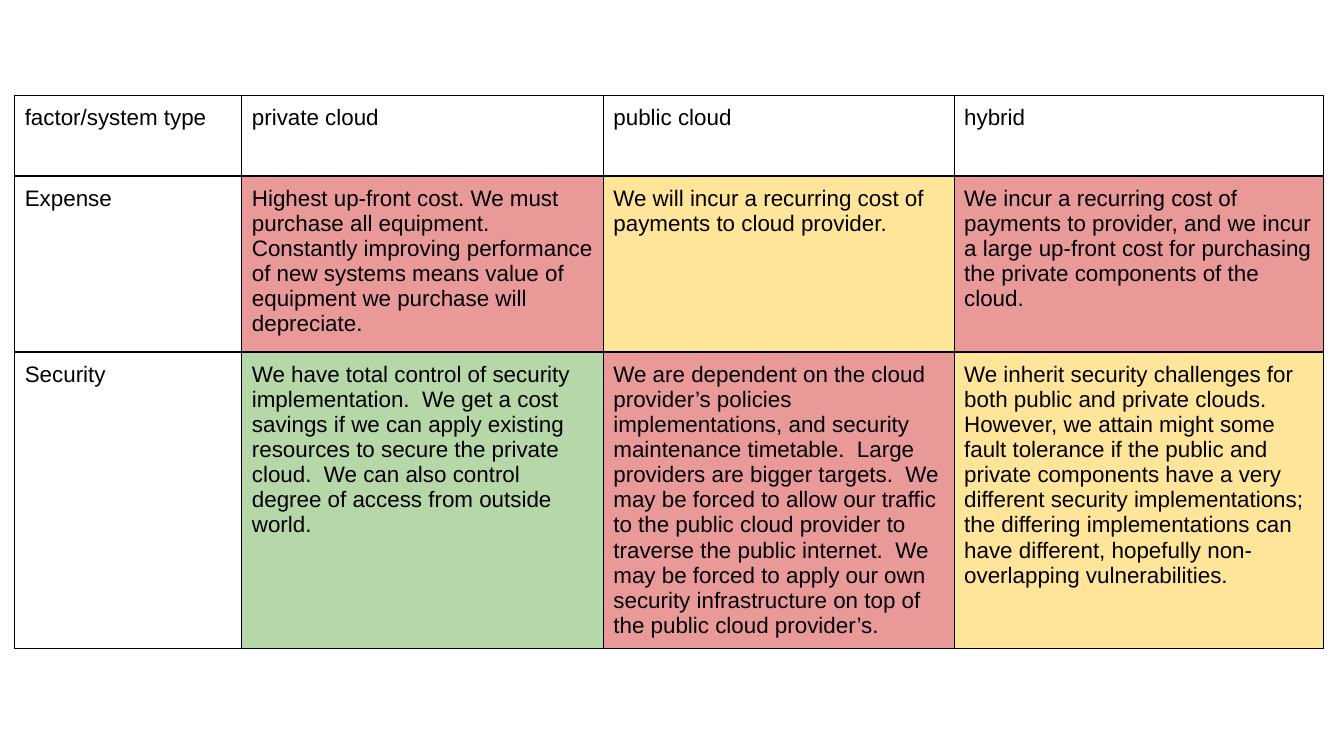
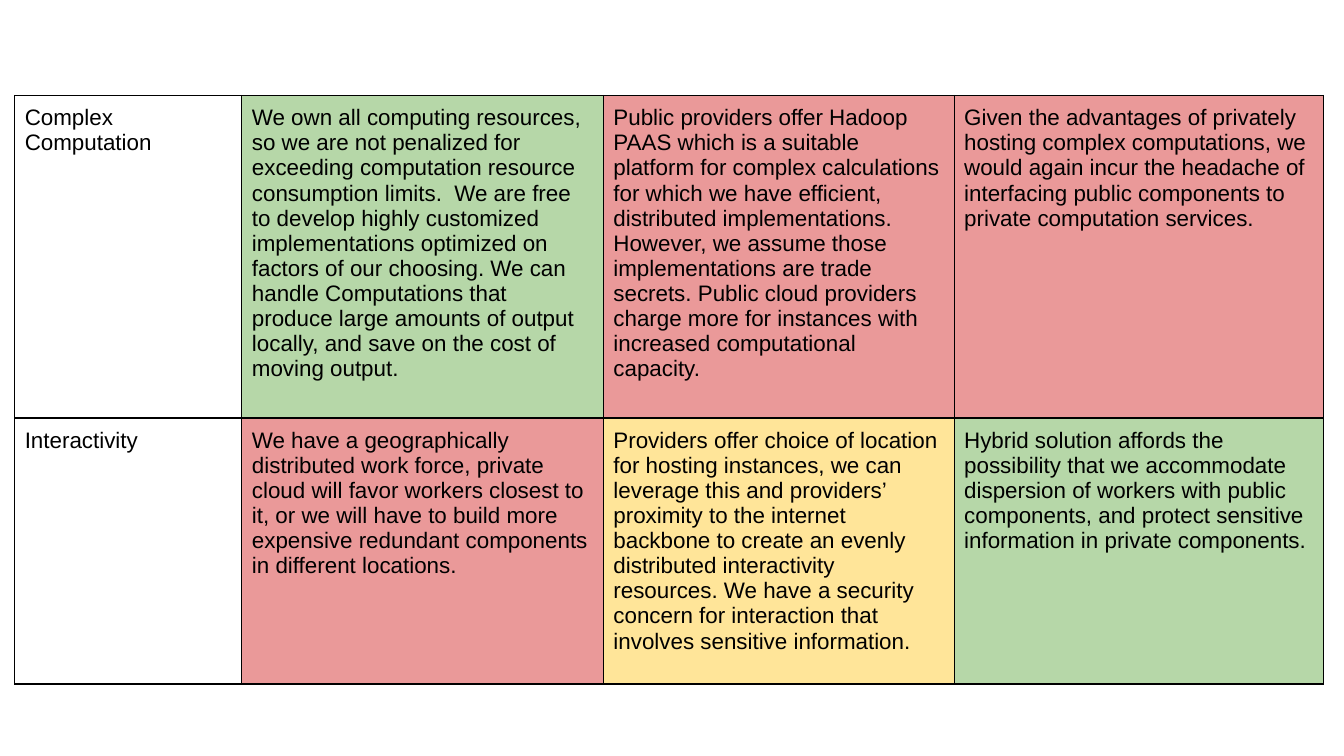
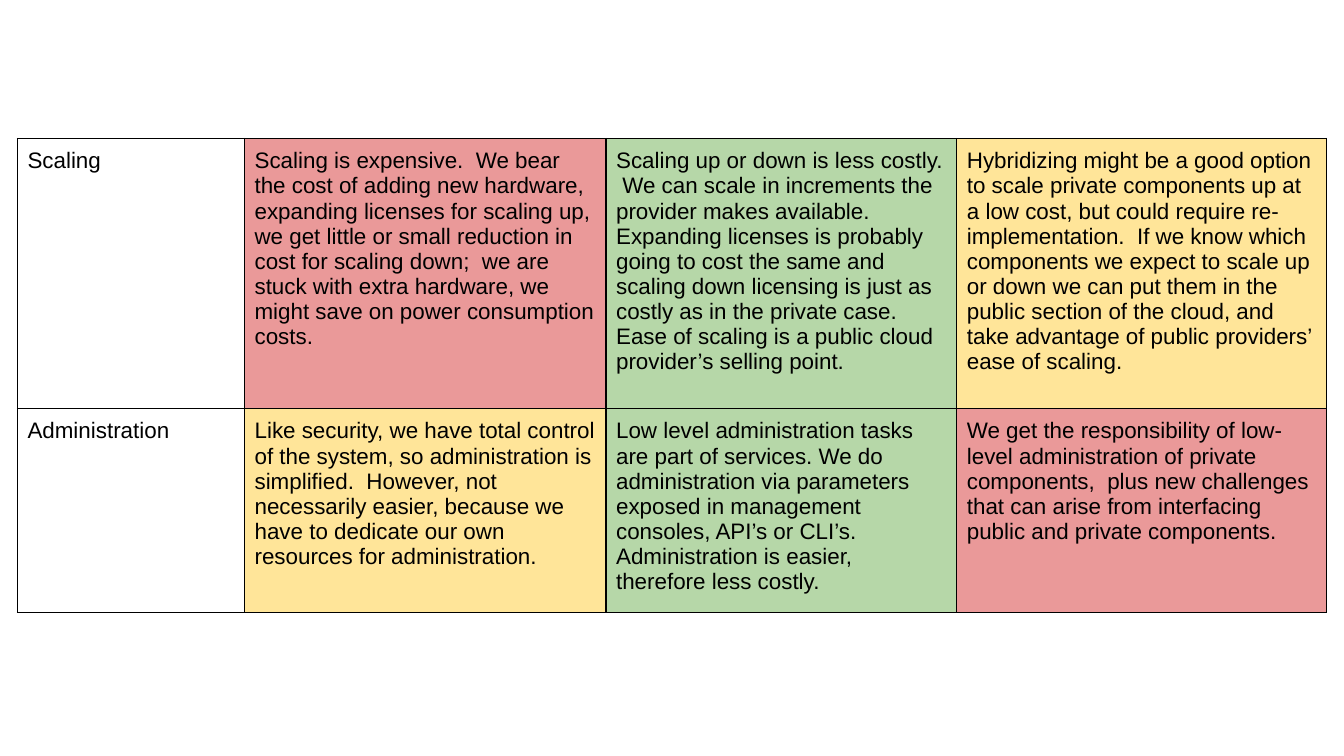
from lxml import etree
from pptx import Presentation
from pptx.dml.color import RGBColor
from pptx.oxml.ns import qn
from pptx.util import Inches, Pt

COLORS = {
    "text": "000000",
    "border": "000000",
    "bad": "EA9999",
    "fair": "FFE599",
    "good": "B6D7A8",
}
FONT = "Arial"
FONT_SIZE = 12
BORDER_WIDTH = 0.75
CELL_MARGIN = Inches(0.15) // 2
SLIDE_WIDTH = Inches(10)
SLIDE_HEIGHT = SLIDE_WIDTH * 9 // 16
COLUMN_WIDTHS = [1.69, 2.69, 2.61, 2.75]
BORDER_SIDES = ["a:lnL", "a:lnR", "a:lnT", "a:lnB"]
BLANK_LAYOUT = 6

# Each row: height, factor, then (rating, text) for private, public and hybrid.
SLIDES = [
    {
        "position": (0.11, 0.71),
        "rows": [
            (0.6, "factor/system type",
             (None, "private cloud"), (None, "public cloud"), (None, "hybrid")),
            (1.31, "Expense",
             ("bad", "Highest up-front cost. We must purchase all equipment.  "
              "Constantly improving performance of new systems means value of "
              "equipment we purchase will depreciate."),
             ("fair", "We will incur a recurring cost of payments to cloud "
              "provider.  "),
             ("bad", "We incur a recurring cost of payments to provider, and we incur "
              "a large up-front cost for purchasing the private components of the "
              "cloud.")),
            (1.84, "Security",
             ("good", "We have total control of security implementation.  We get a "
              "cost savings if we can apply existing resources to secure the private "
              "cloud.  We can also control degree of access from outside world."),
             ("bad", "We are dependent on the cloud provider’s policies "
              "implementations, and security maintenance timetable.  Large providers "
              "are bigger targets.  We may be forced to allow our traffic to the "
              "public cloud provider to traverse the public internet.  We may be "
              "forced to apply our own security infrastructure on top of the public "
              "cloud provider’s."),
             ("fair", "We inherit security challenges for both public and private "
              "clouds.  However, we attain might some fault tolerance if the public "
              "and private components have a very different security "
              "implementations; the differing implementations can have different, "
              "hopefully non-overlapping vulnerabilities.")),
        ],
    },
    {
        "position": (0.11, 0.71),
        "rows": [
            (2.4, "Complex Computation",
             ("good", "We own all computing resources, so we are not penalized for "
              "exceeding computation resource consumption limits.  We are free to "
              "develop highly customized implementations optimized on factors of our "
              "choosing. We can handle Computations that produce large amounts of "
              "output locally, and save on the cost of moving output."),
             ("bad", "Public providers offer Hadoop PAAS which is a suitable platform "
              "for complex calculations for which we have efficient, distributed "
              "implementations.  However, we assume those implementations are trade "
              "secrets. Public cloud providers charge more for instances with "
              "increased computational capacity."),
             ("bad", "Given the advantages of privately hosting complex computations, "
              "we would again incur the headache of interfacing public components to "
              "private computation services.  ")),
            (1.98, "Interactivity",
             ("bad", "We have a geographically distributed work force, private cloud "
              "will favor workers closest to it, or we will have to build more "
              "expensive redundant components in different locations."),
             ("fair", "Providers offer choice of location for hosting instances, we "
              "can leverage this and providers’ proximity to the internet backbone to "
              "create an evenly distributed interactivity resources. We have a "
              "security concern for interaction that involves sensitive "
              "information."),
             ("good", "Hybrid solution affords the possibility that we accommodate "
              "dispersion of workers with public components, and protect sensitive "
              "information in private components.")),
        ],
    },
    {
        "position": (0.13, 1.03),
        "rows": [
            (2.01, "Scaling",
             ("bad", "Scaling is expensive.  We bear the cost of adding new hardware, "
              "expanding licenses for scaling up, we get little or small reduction in "
              "cost for scaling down;  we are stuck with extra hardware, we might "
              "save on power consumption costs."),
             ("good", "Scaling up or down is less costly.  We can scale in increments "
              "the provider makes available. Expanding licenses is probably going to "
              "cost the same and scaling down licensing is just as costly as in the "
              "private case.  Ease of scaling is a public cloud provider’s selling "
              "point."),
             ("fair", "Hybridizing might be a good option to scale private components "
              "up at a low cost, but could require re-implementation.  If we know "
              "which components we expect to scale up or down we can put them in the "
              "public section of the cloud, and take advantage of public providers’ "
              "ease of scaling.")),
            (1.52, "Administration",
             ("fair", "Like security, we have total control of the system, so "
              "administration is simplified.  However, not necessarily easier, "
              "because we have to dedicate our own resources for administration."),
             ("good", "Low level administration tasks are part of services. We do "
              "administration via parameters exposed in management consoles, API’s or "
              "CLI’s.  Administration is easier, therefore less costly."),
             ("bad", "We get the responsibility of low-level administration of private "
              "components,  plus new challenges that can arise from interfacing "
              "public and private components.")),
        ],
    },
]


def add_borders(cell):
    """Draw a thin solid line on all four sides of a cell."""
    properties = cell._tc.get_or_add_tcPr()
    for side in BORDER_SIDES:
        line = etree.SubElement(properties, qn(side), w=str(Pt(BORDER_WIDTH)))
        fill = etree.SubElement(line, qn("a:solidFill"))
        etree.SubElement(fill, qn("a:srgbClr"), val=COLORS["border"])
        etree.SubElement(line, qn("a:prstDash"), val="solid")


def fill_cell(cell, rating, text):
    """Write the text of a cell and colour it by its rating."""
    cell.margin_left = cell.margin_right = CELL_MARGIN
    cell.margin_top = cell.margin_bottom = CELL_MARGIN
    add_borders(cell)
    if rating:
        cell.fill.solid()
        cell.fill.fore_color.rgb = RGBColor.from_string(COLORS[rating])
    else:
        cell.fill.background()
    run = cell.text_frame.paragraphs[0].add_run()
    run.text = text
    run.font.name = FONT
    run.font.size = Pt(FONT_SIZE)
    run.font.bold = False
    run.font.color.rgb = RGBColor.from_string(COLORS["text"])


def add_comparison(slide, position, rows):
    """Add a table that compares the cloud types, one factor a row."""
    left, top = position
    height = sum(row[0] for row in rows)
    shape = slide.shapes.add_table(
        len(rows), len(COLUMN_WIDTHS), Inches(left), Inches(top),
        Inches(sum(COLUMN_WIDTHS)), Inches(height))
    table = shape.table
    table.first_row = table.horz_banding = False
    for column, width in zip(table.columns, COLUMN_WIDTHS):
        column.width = Inches(width)
    for table_row, (row_height, factor, *assessments) in zip(table.rows, rows):
        table_row.height = Inches(row_height)
        contents = [(None, factor), *assessments]
        for cell, (rating, text) in zip(table_row.cells, contents):
            fill_cell(cell, rating, text)


def main():
    """Build and save the presentation."""
    presentation = Presentation()
    presentation.slide_width = SLIDE_WIDTH
    presentation.slide_height = SLIDE_HEIGHT
    layout = presentation.slide_layouts[BLANK_LAYOUT]
    for content in SLIDES:
        slide = presentation.slides.add_slide(layout)
        add_comparison(slide, content["position"], content["rows"])
    presentation.save("out.pptx")


main()
